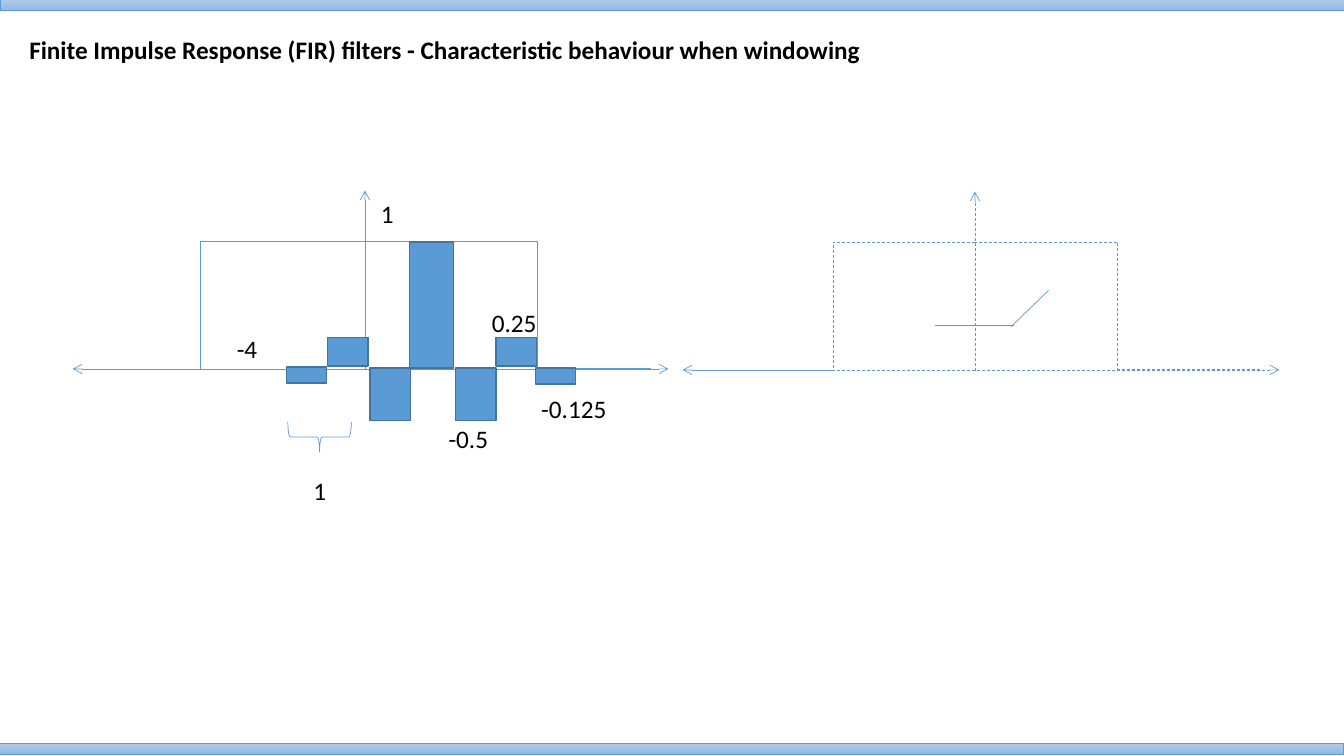
import lxml.etree
import pptx
import pptx.util
import pptx.dml.color
import pptx.enum.dml
import pptx.enum.shapes
import pptx.enum.text
import pptx.oxml.ns

PX = 9144
FONT = "Calibri"
COLOURS = {
    "text": "000000",
    "line": "5B9BD5",
    "bar": "5B9BD5",
    "bar_edge": "43739E",
    "band_top": "B1CBE9",
    "band_bottom": "93B9E4",
}
SHAPES = pptx.enum.shapes.MSO_SHAPE
CONNECTORS = pptx.enum.shapes.MSO_CONNECTOR


def px(*lengths):
    return [pptx.util.Emu(length * PX) for length in lengths]


def rgb(name):
    return pptx.dml.color.RGBColor.from_string(COLOURS[name])


def set_line(line, colour="line", width=0.5):
    line.color.rgb = rgb(colour)
    line.width = pptx.util.Pt(width)


def write(frame, words, bold=False):
    frame.word_wrap = True
    frame.auto_size = pptx.enum.text.MSO_AUTO_SIZE.SHAPE_TO_FIT_TEXT
    frame.vertical_anchor = pptx.enum.text.MSO_ANCHOR.TOP
    paragraph = frame.paragraphs[0]
    paragraph.alignment = pptx.enum.text.PP_ALIGN.LEFT
    run = paragraph.add_run()
    run.text = words
    run.font.name = FONT
    run.font.size = pptx.util.Pt(18)
    run.font.bold = bold
    run.font.color.rgb = rgb("text")


def add_shape(slide, kind, box, edge="line", edge_width=0.5):
    shape = slide.shapes.add_shape(kind, *px(*box))
    shape.shadow.inherit = False
    set_line(shape.line, edge, edge_width)
    return shape


def add_line(slide, start, end, kind=CONNECTORS.STRAIGHT, dashed=False, arrows=(), bend=None):
    connector = slide.shapes.add_connector(kind, *px(*start, *end))
    set_line(connector.line)
    if dashed:
        connector.line.dash_style = pptx.enum.dml.MSO_LINE.DASH
    properties = connector._element.spPr
    qn = pptx.oxml.ns.qn
    for arrow in arrows:
        lxml.etree.SubElement(properties.find(qn("a:ln")), qn(f"a:{arrow}"), type="arrow")
    if bend is not None:
        adjustments = properties.find(qn("a:prstGeom")).find(qn("a:avLst"))
        lxml.etree.SubElement(adjustments, qn("a:gd"), name="adj1", fmla=f"val {bend}")
    lxml.etree.SubElement(properties, qn("a:effectLst"))


def add_band(slide, box):
    band = add_shape(slide, SHAPES.RECTANGLE, box)
    band.fill.gradient()
    band.fill.gradient_angle = 270
    for stop, colour in zip(band.fill.gradient_stops, ("band_top", "band_bottom")):
        stop.color.rgb = rgb(colour)


def add_title(slide, box):
    title = slide.shapes.title
    title.left, title.top, title.width, title.height = px(*box)
    write(title.text_frame, "Finite Impulse Response (FIR) filters - Characteristic behaviour when windowing", True)


def add_window_plot(slide, box, left_bend, right_bend, dashed=False):
    left, top, width, height = box
    centre, base, window_top = left + 290, top + height - 1, top + 50
    add_line(slide, (centre, top + height), (centre, top), dashed=dashed, arrows=("tailEnd",))
    add_line(slide, (left, base), (left + width, base), dashed=dashed, arrows=("headEnd", "tailEnd"))
    elbow = CONNECTORS.ELBOW
    add_line(slide, (centre - 1, window_top), (centre + 284, base - 1), elbow, dashed, bend=right_bend)
    add_line(slide, (centre, window_top), (centre - 281, base), elbow, dashed, bend=left_bend)


def add_coefficients(slide, box):
    left, top = box[:2]
    bars = [
        (212, 175, 40, 16),
        (253, 146, 40, 28),
        (295, 176, 40, 52),
        (334, 51, 44, 125),
        (380, 176, 40, 52),
        (420, 146, 40, 28),
        (459, 176, 40, 16),
    ]
    for x, y, width, height in bars:
        bar = add_shape(slide, SHAPES.RECTANGLE, (left + x, top + y, width, height), "bar_edge", 1)
        bar.fill.solid()
        bar.fill.fore_color.rgb = rgb("bar")

    brace = add_shape(slide, SHAPES.LEFT_BRACE, (left + 230, top + 213, 30, 63))
    brace.rotation = 270
    brace.fill.background()

    labels = [
        ("-4", 153, 137, 81),
        ("0.25", 406, 111, 98),
        ("-0.5", 363, 226, 98),
        ("-0.125", 455, 196, 144),
        ("1", 296, 3, 36),
        ("1", 229, 278, 36),
    ]
    for words, x, y, width in labels:
        label = slide.shapes.add_textbox(*px(left + x, top + y, width, 40))
        write(label.text_frame, words)


def add_response(slide, box):
    left, top = box[:2]
    add_line(slide, (left + 250, top + 133), (left + 329, top + 133))
    add_line(slide, (left + 326, top + 134), (left + 363, top + 98))


def build_slide(deck):
    slide = deck.slides.add_slide(deck.slide_layouts[5])
    add_band(slide, (0, -1, 1333, 11))
    add_band(slide, (-1, 737, 1333, 11))
    add_title(slide, (19, 29, 1217, 40))
    filter_box = (72, 189, 591, 178)
    response_box = (677, 190, 592, 178)
    add_window_plot(slide, filter_box, 58100, 60400)
    add_coefficients(slide, filter_box)
    add_window_plot(slide, response_box, 50000, 50000, dashed=True)
    add_response(slide, response_box)


def main():
    deck = pptx.Presentation()
    deck.slide_width, deck.slide_height = px(1333, 750)
    build_slide(deck)
    deck.save("out.pptx")


if __name__ == "__main__":
    main()
